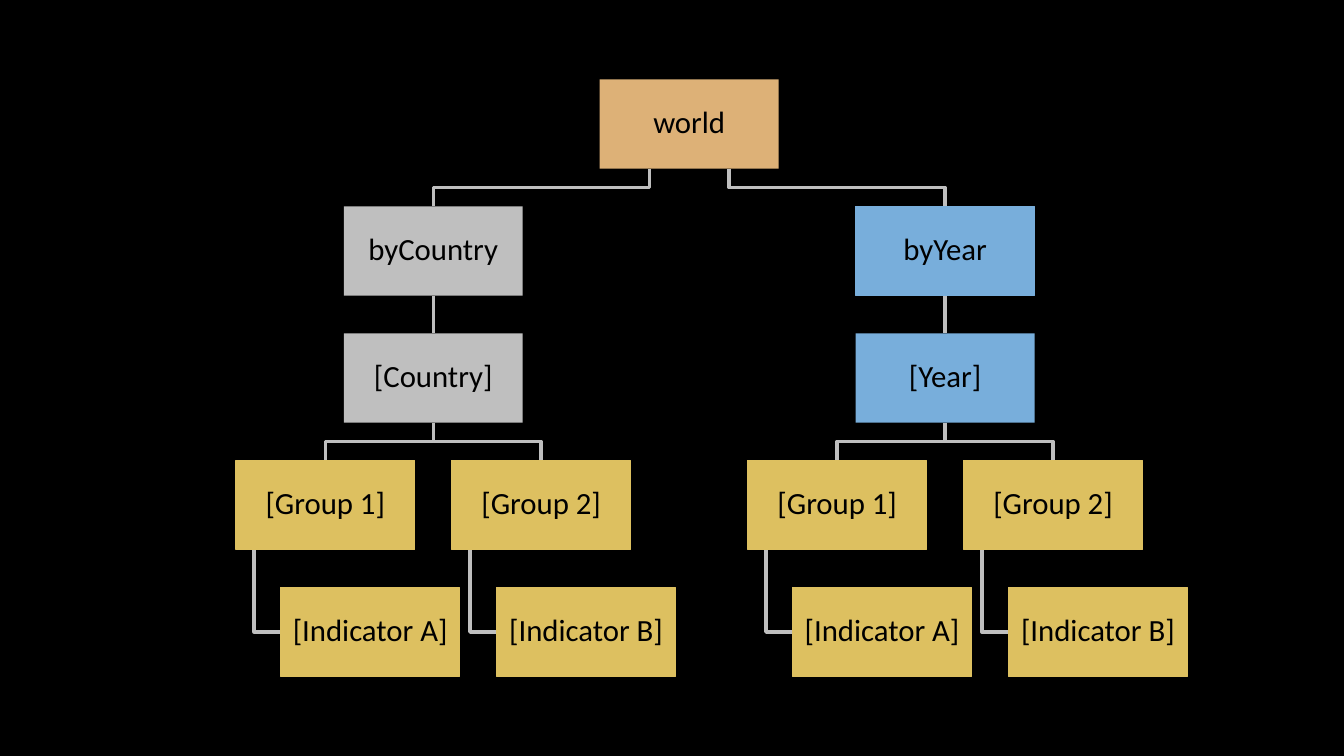
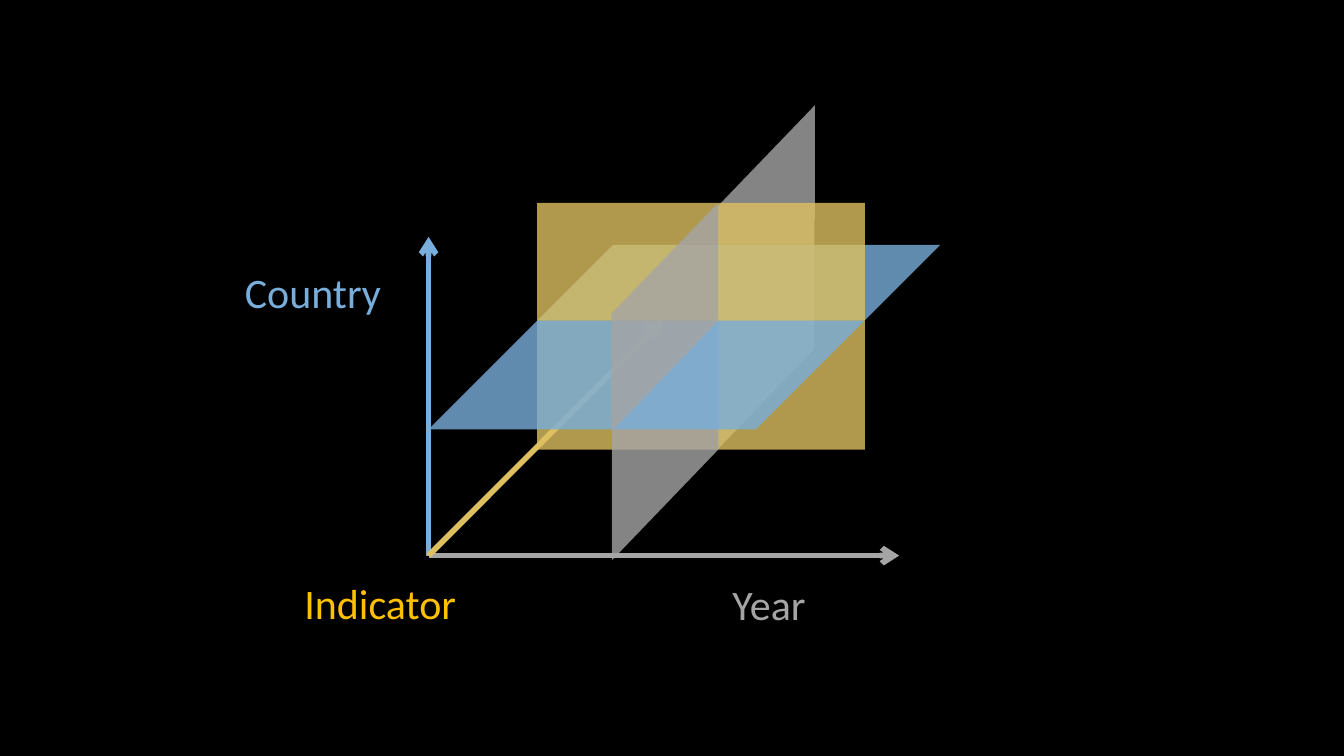
from pptx import Presentation
from pptx import util as u
from pptx.dml.color import RGBColor
from pptx.enum import shapes, text
from pptx.oxml.ns import qn
from lxml import etree

BLACK, SILVER, GRAY = "000000", "BFBFBF", "A5A5A5"
BLUE, YELLOW, TAN, AMBER = "78AEDB", "DDC060", "DDB177", "FFC000"
FONT = "Calibri"


def paint(fill, color, opacity=100):
    """Give a fill (of a shape, line, font or background) a solid colour."""
    fill.solid()
    fill.fore_color.rgb = RGBColor.from_string(color)
    if opacity < 100:
        rgb = fill._xPr.find(".//" + qn("a:srgbClr"))
        etree.SubElement(rgb, qn("a:alpha")).set("val", str(opacity * 1000))


def write(sp, words, size, color, frame, para):
    """Put one paragraph in a shape, with frame and paragraph formats."""
    tf = sp.text_frame
    p = tf.paragraphs[0]
    r = p.add_run()
    r.text = words
    for target, formats in ((tf, frame), (p, para),
                            (r.font, {"size": u.Pt(size), "name": FONT})):
        for name, value in formats.items():
            setattr(target, name, value)
    paint(r.font.fill, color)


prs = Presentation()
prs.slide_width, prs.slide_height = u.Cm(33.87), u.Cm(19.05)
slides = [prs.slides.add_slide(prs.slide_layouts[6]) for _ in range(2)]
for s in slides:
    paint(s.background.fill, BLACK)

# Slide 1: tree
s = slides[0]
BOX_W, BOX_H, GAP = 4.51, 2.25, 0.95
row = [2 + 3.2 * i for i in range(5)]
ROOT_X = 17.37
boxes = [("world", ROOT_X, 0, TAN, False)]
wires = []
branches = ((-1, "byCountry", "[Country]", SILVER, False),
            (1, "byYear", "[Year]", BLUE, True))
for side, parent, key, color, edged in branches:
    x = ROOT_X + side * 6.45
    boxes += [(parent, x, 1, color, edged), (key, x, 2, color, False)]
    forks = [(ROOT_X + side, x, 0)]
    for sign, number, letter in ((-1, 1, "A"), (1, 2, "B")):
        group_x = x + sign * 2.72
        leaf_x = group_x + 1.13
        boxes += [(f"[Group {number}]", group_x, 3, YELLOW, True),
                  (f"[Indicator {letter}]", leaf_x, 4, YELLOW, True)]
        forks.append((x, group_x, 2))
        stem_x = group_x - BOX_W / 2 + 0.46
        leaf_y = row[4] + BOX_H / 2
        wires.append([(stem_x, row[3] + BOX_H), (stem_x, leaf_y),
                      (leaf_x - BOX_W / 2, leaf_y)])
    for x1, x2, level in forks:
        y = row[level] + BOX_H
        wires.append([(x1, y), (x1, y + GAP / 2), (x2, y + GAP / 2), (x2, y + GAP)])
    wires.append([(x, row[1] + BOX_H), (x, row[2])])

for wire in wires:
    points = [(u.Cm(x), u.Cm(y)) for x, y in wire]
    if len(points) == 2:
        sp = s.shapes.add_connector(shapes.MSO_CONNECTOR.STRAIGHT, *points[0], *points[1])
    else:
        outline = s.shapes.build_freeform(*points[0])
        outline.add_line_segments(points[1:], close=False)
        sp = outline.convert_to_shape()
        sp.fill.background()
    paint(sp.line.fill, SILVER)
    sp.line.width = u.Pt(2.5)

margin = u.Cm(0.04)
box_frame = {"margin_left": margin, "margin_right": margin, "margin_top": margin,
             "margin_bottom": margin, "word_wrap": True,
             "vertical_anchor": text.MSO_ANCHOR.MIDDLE}
box_para = {"alignment": text.PP_ALIGN.CENTER, "line_spacing": 0.9}
for words, x, level, color, edged in boxes:
    sp = s.shapes.add_shape(shapes.MSO_SHAPE.RECTANGLE, u.Cm(x - BOX_W / 2),
                            u.Cm(row[level]), u.Cm(BOX_W), u.Cm(BOX_H))
    paint(sp.fill, color)
    if edged:
        paint(sp.line.fill, color)
        sp.line.width = u.Pt(1)
    else:
        sp.line.fill.background()
    write(sp, words, 22, BLACK, box_frame, box_para)

# Slide 2: axes and the planes that cut them
s = slides[1]
ORIGIN = (10.8, 14.0)
RECT, SLANT = shapes.MSO_SHAPE.RECTANGLE, shapes.MSO_SHAPE.PARALLELOGRAM
# kind, left, top, width, height, colour, slant, upright
back = [(SLANT, 16.41, 7.21, 5.79, 2.44, GRAY, 1.04, True),
        (SLANT, 16.61, 4.14, 5.41, 2.44, GRAY, 1.04, True),
        (RECT, 13.54, 8.08, 8.26, 3.25, YELLOW, None, False)]
front = [(SLANT, 13.69, 9.7, 6.15, 2.69, GRAY, 1.04, True),
         (SLANT, 10.8, 6.17, 12.9, 4.65, BLUE, 1, False),
         (RECT, 13.54, 5.11, 8.26, 2.97, YELLOW, None, False),
         (SLANT, 13.87, 6.65, 5.77, 2.69, GRAY, 1.04, True)]
axes = [("axis", 10.8, 5.97, BLUE), ("axis", 22.66, 14.0, GRAY),
        ("axis", 16.71, 8.08, YELLOW)]
for kind, x, y, *rest in back + axes + front:
    if kind == "axis":
        sp = s.shapes.add_connector(shapes.MSO_CONNECTOR.STRAIGHT,
                                    *map(u.Cm, ORIGIN), u.Cm(x), u.Cm(y))
        paint(sp.line.fill, rest[0])
        sp.line.width = u.Pt(4)
        etree.SubElement(sp.line._get_or_add_ln(), qn("a:tailEnd")).set("type", "arrow")
        continue
    w, h, color, slant, upright = rest
    sp = s.shapes.add_shape(kind, u.Cm(x), u.Cm(y), u.Cm(w), u.Cm(h))
    paint(sp.fill, color, 80)
    sp.line.fill.background()
    if slant:
        sp.adjustments[0] = slant
    if upright:
        sp.rotation = 270
        sp._element.spPr.find(qn("a:xfrm")).set("flipH", "1")

label_frame = {"word_wrap": True, "auto_size": text.MSO_AUTO_SIZE.SHAPE_TO_FIT_TEXT}
for words, x, y, w, color in (("Country", 5.92, 6.58, 5.5, BLUE),
                              ("Year", 18.21, 14.45, 5.08, GRAY),
                              ("Indicator", 7.42, 14.43, 5.08, AMBER)):
    sp = s.shapes.add_textbox(u.Cm(x), u.Cm(y), u.Cm(w), u.Cm(1.55))
    write(sp, words, 30, color, label_frame, {})

# No shape or connector casts a shadow
for s in slides:
    for sp in s.shapes:
        if sp.shape_type == shapes.MSO_SHAPE_TYPE.LINE:
            etree.SubElement(sp._element.spPr, qn("a:effectLst"))
        else:
            sp.shadow.inherit = False

prs.save("out.pptx")
